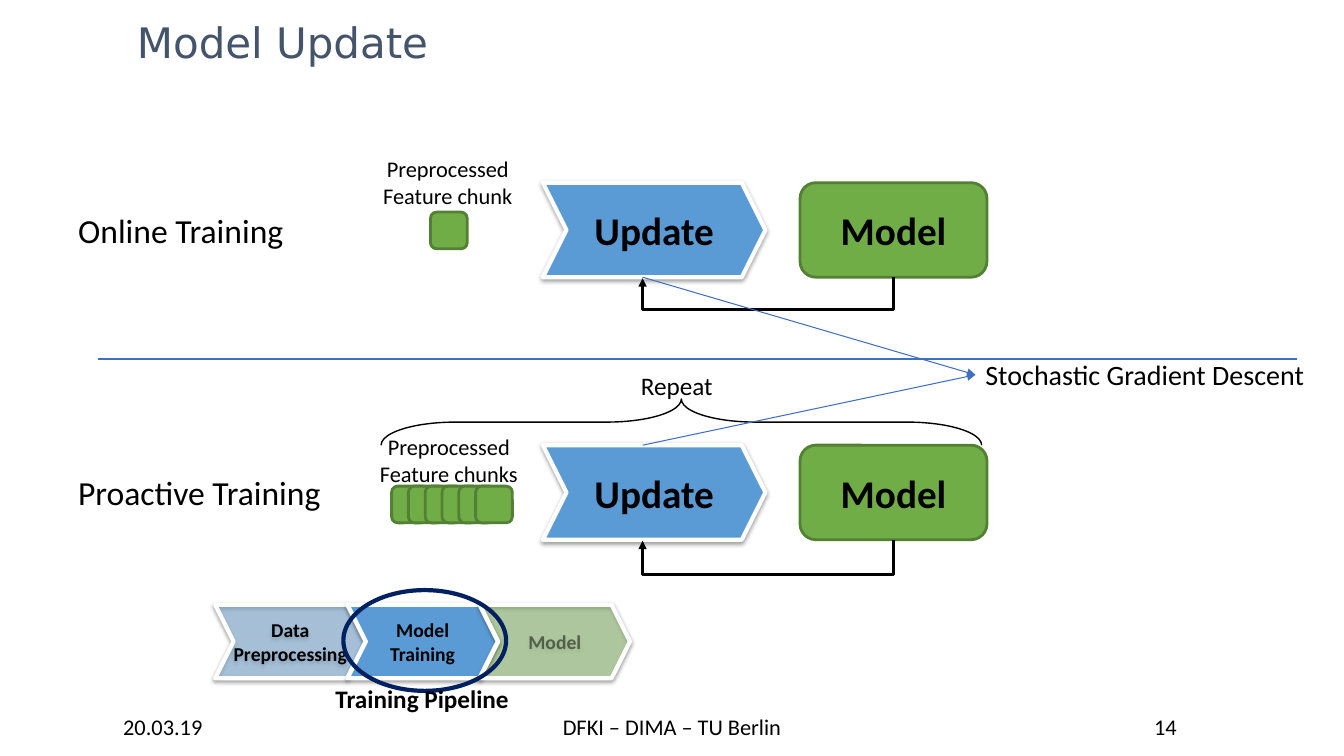
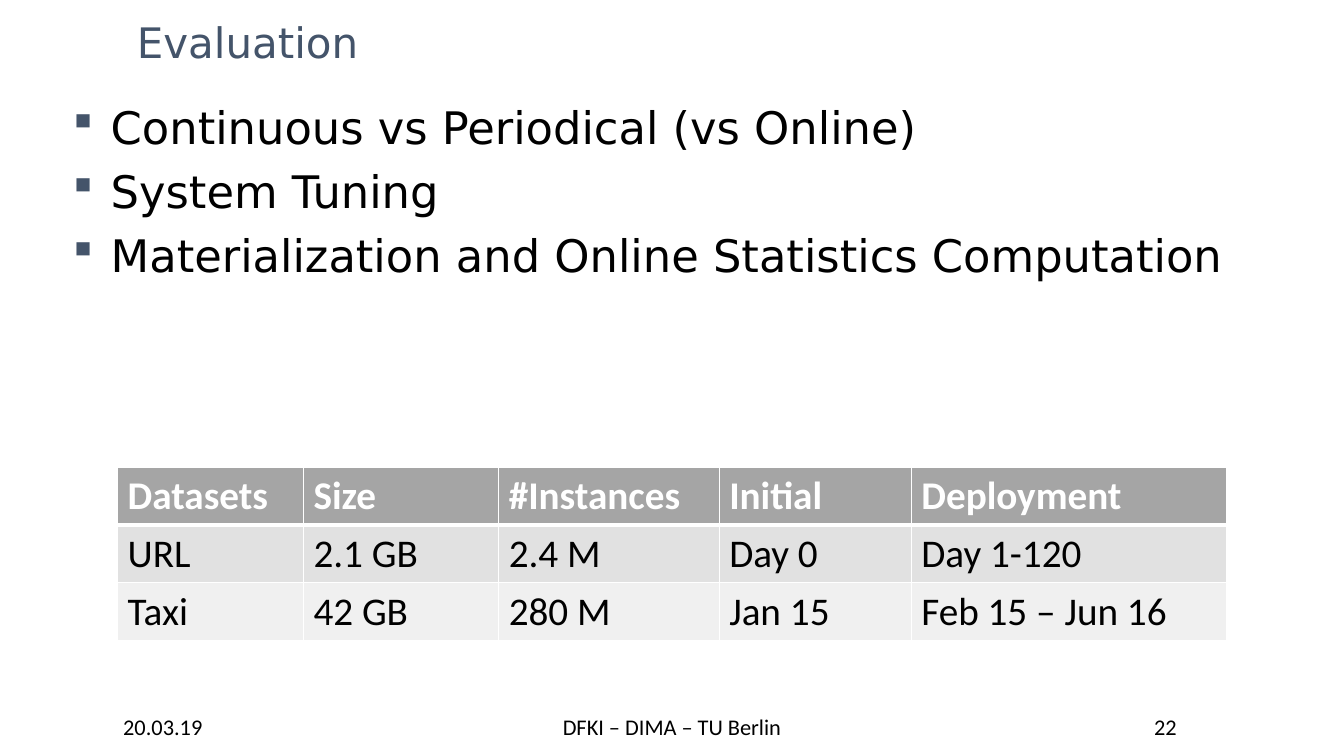
from dataclasses import dataclass

from lxml import etree
from pptx import Presentation
from pptx import util as u
from pptx.dml.color import RGBColor
from pptx.enum import shapes, text
from pptx.oxml.ns import qn

PX = 9525  # EMU in one px, 96 px to the inch
SHAPE, ALIGN, ANCHOR = shapes.MSO_SHAPE, text.PP_ALIGN, text.MSO_ANCHOR


@dataclass(frozen=True)
class Theme:
    # colours
    ink: str = "000000"
    white: str = "FFFFFF"
    slate: str = "44546A"
    blue: str = "5B9BD5"
    green: str = "70AD47"
    green_edge: str = "538035"
    rule: str = "3F6FC3"
    navy: str = "002060"
    header: str = "A5A5A5"
    bands: tuple = ("E1E1E1", "F0F0F0")
    # fonts and type sizes
    body_font: str = "Calibri"
    title_font: str = "DejaVu Sans"
    title: int = 30
    bullet: int = 32
    block: int = 28
    label: int = 24
    note: int = 20
    caption: int = 18
    small: int = 16
    step: int = 14


T = Theme()
DATE, OWNER = "20.03.19", "DFKI – DIMA – TU Berlin"


def px(*lengths):
    return [u.Emu(int(length * PX)) for length in lengths]


def rgb(value):
    return RGBColor.from_string(value)


def assign(target, values):
    for name, value in values.items():
        setattr(target, name, value)


def add_xml(parent, tag, **attributes):
    values = {name: str(value) for name, value in attributes.items()}
    return etree.SubElement(parent, qn(tag), values)


def fade(element, percent):
    """Make the first colour found in the element partly transparent."""
    colour = next(element.iter(qn("a:srgbClr")))
    add_xml(colour, "a:alpha", val=percent * 1000)


class Deck:
    def __init__(self):
        self.prs = Presentation()
        assign(self.prs, dict(zip(("slide_width", "slide_height"), px(1280, 720))))
        self.slide = None

    def new_slide(self, title, number):
        self.slide = self.prs.slides.add_slide(self.prs.slide_layouts[6])
        for words, left, width in ((DATE, 60, 190), (OWNER, 480, 320), (number, 1000, 220)):
            self.label([words], (left, 674, width, 36), T.small, wrap=True,
                       align=ALIGN.CENTER, anchor=ANCHOR.MIDDLE)
        self.label([title], (121, 6, 908, 67), T.title, wrap=True, anchor=ANCHOR.MIDDLE,
                   colour=T.slate, font=T.title_font, grow=False)

    def fill_text(self, frame, lines, size, colour=T.ink, font=T.body_font, bold=False,
                  align=ALIGN.LEFT, alpha=None):
        for index, line in enumerate(lines):
            paragraph = frame.add_paragraph() if index else frame.paragraphs[0]
            paragraph.alignment = align
            run = paragraph.add_run()
            run.text = line
            assign(run.font, dict(size=u.Pt(size), name=font, bold=bold))
            run.font.color.rgb = rgb(colour)
            if alpha:
                fade(run.font._element, alpha)

    def label(self, lines, box, size, wrap=False, grow=True, anchor=ANCHOR.TOP, **style):
        shape = self.slide.shapes.add_textbox(*px(*box))
        fit = text.MSO_AUTO_SIZE.SHAPE_TO_FIT_TEXT if grow else text.MSO_AUTO_SIZE.NONE
        assign(shape.text_frame, dict(word_wrap=wrap, auto_size=fit, vertical_anchor=anchor))
        self.fill_text(shape.text_frame, lines, size, **style)
        return shape

    def shape(self, kind, box, fill=None, edge=T.ink, weight=1, alpha=None, adjust=()):
        shape = self.slide.shapes.add_shape(kind, *px(*box))
        shape.shadow.inherit = False
        if fill:
            shape.fill.solid()
            shape.fill.fore_color.rgb = rgb(fill)
            if alpha:
                fade(shape._element.spPr, alpha)
        else:
            shape.fill.background()
        shape.line.color.rgb = rgb(edge)
        shape.line.width = u.Pt(weight)
        for index, value in enumerate(adjust):
            shape.adjustments[index] = value
        return shape

    def block(self, kind, box, lines, size, fill, wrap=True, text_alpha=None, **style):
        shape = self.shape(kind, box, fill, **style)
        assign(shape.text_frame, dict(word_wrap=wrap, vertical_anchor=ANCHOR.MIDDLE))
        self.fill_text(shape.text_frame, lines, size, bold=True, align=ALIGN.CENTER,
                       alpha=text_alpha)
        return shape

    def chevron(self, box, lines, size, fill=T.blue, **style):
        shape = self.block(SHAPE.CHEVRON, box, lines, size, fill, edge=T.white, weight=3,
                           adjust=(0.25,), **style)
        effects = shape._element.spPr.find(qn("a:effectLst"))
        shadow = add_xml(effects, "a:outerShdw", blurRad=40000, dist=20000,
                         dir=5400000, rotWithShape=0)
        add_xml(add_xml(shadow, "a:srgbClr", val=T.ink), "a:alpha", val=38000)
        return shape

    def green_box(self, box, lines=()):
        return self.block(SHAPE.ROUNDED_RECTANGLE, box, lines, T.block, T.green,
                          edge=T.green_edge, weight=2)

    def line(self, start, end, colour, weight, kind=shapes.MSO_CONNECTOR.STRAIGHT, arrow=False):
        line = self.slide.shapes.add_connector(kind, *px(*start, *end))
        line.line.color.rgb = rgb(colour)
        line.line.width = u.Pt(weight)
        properties = line._element.spPr
        if arrow:
            add_xml(properties.find(qn("a:ln")), "a:tailEnd", type="triangle")
        add_xml(properties, "a:effectLst")
        return line

    def feedback(self, source, target, start, end, drop):
        """Elbow arrow that leaves one bottom edge and returns to another."""
        line = self.line(start, end, T.ink, 2, shapes.MSO_CONNECTOR.ELBOW, arrow=True)
        line.begin_connect(source, 2)
        line.end_connect(target, 2)
        # A quarter turn of a 1 px wide box lets the bend drop below both ends
        span = start[0] - end[0]
        box = px((start[0] + end[0] - 1) / 2, start[1] + (1 - span) / 2, 1, span)
        frame = line._element.spPr.find(qn("a:xfrm"))
        frame.attrib.clear()
        frame.set("rot", "5400000")
        assign(line, dict(zip(("left", "top", "width", "height"), box)))
        geometry = line._element.spPr.find(qn("a:prstGeom"))
        guides = geometry.find(qn("a:avLst"))
        if guides is None:
            guides = add_xml(geometry, "a:avLst")
        add_xml(guides, "a:gd", name="adj1", fmla=f"val {drop * 100000}")

    def pointer(self, source, site, target, start, end):
        line = self.line(start, end, T.rule, 0.75, arrow=True)
        line.begin_connect(source, site)
        line.end_connect(target, 1)
        line.begin_x = px(start[0])[0]

    def bullets(self, lines, box):
        frame = self.label([], box, T.bullet, wrap=True, grow=False).text_frame
        self.fill_text(frame, lines, T.bullet, font=T.title_font)
        for index, paragraph in enumerate(frame.paragraphs):
            if index:
                paragraph.space_before = u.Pt(7.5)
            properties = paragraph._p.get_or_add_pPr()
            for name, indent in (("marL", 36), ("indent", -36)):
                properties.set(name, str(indent * PX))
            add_xml(add_xml(properties, "a:buClr"), "a:srgbClr", val=T.slate)
            add_xml(properties, "a:buFont", typeface="Wingdings")
            add_xml(properties, "a:buChar", char="§")

    def table(self, rows, left, top, widths, height):
        table = self.slide.shapes.add_table(
            len(rows), len(widths), *px(left, top, sum(widths), height * len(rows))).table
        assign(table, dict(first_row=False, horz_banding=False))
        for column, width in zip(table.columns, widths):
            column.width = px(width)[0]
        for r, row in enumerate(rows):
            for c, words in enumerate(row):
                cell = table.cell(r, c)
                cell.fill.solid()
                cell.fill.fore_color.rgb = rgb(T.bands[r - 1] if r else T.header)
                self.fill_text(cell.text_frame, [words], T.block, bold=not r,
                               colour=T.ink if r else T.white)
                self.borders(cell, top=3 if r == 1 else 1, bottom=1 if r else 3)

    def borders(self, cell, top, bottom):
        properties = cell._tc.get_or_add_tcPr()
        sides = (("a:lnL", 1), ("a:lnR", 1), ("a:lnT", top), ("a:lnB", bottom))
        for index, (tag, weight) in enumerate(sides):
            edge = add_xml(properties, tag, w=u.Pt(weight))
            add_xml(add_xml(edge, "a:solidFill"), "a:srgbClr", val=T.white)
            properties.insert(index, edge)


def training_row(deck, top, name, name_width, chunk_caption, caption_box, chunk_lefts,
                 chunk_top, drop):
    """One training mode: feature chunks, update step, model and feedback."""
    update = deck.chevron((517, top, 212, 90), ["Update"], T.block, wrap=False)
    model = deck.green_box((762, top, 178, 90), ["Model"])
    deck.label([name], (65, top + 21, name_width, 48), T.label)
    deck.feedback(model, update, (851, top + 90), (612, top + 90), drop)
    for left in chunk_lefts:
        deck.green_box((left, chunk_top, 35, 35))
    deck.label(["Preprocessed", chunk_caption], caption_box, T.small, align=ALIGN.CENTER)
    return update


def model_update(deck):
    deck.new_slide("Model Update", "14")

    # Two training modes and the divider
    online = training_row(deck, 174, "Online Training", 217, "Feature chunk",
                          (353, 143, 147, 61), [410], 202, 31)
    deck.line((93, 342), (1235, 342), T.rule, 1.75)
    proactive = training_row(deck, 424, "Proactive Training", 252, "Feature chunks",
                             (350, 408, 155, 61), range(373, 469, 16), 463, 34)

    # Repeat brace
    brace = deck.shape(SHAPE.RIGHT_BRACE, (627, 116, 44, 572), adjust=(1.61, 0.5))
    brace.rotation = 270
    deck.label(["Repeat"], (601, 348, 90, 38), T.caption, wrap=True)

    # Training pipeline with the current step circled
    steps = (
        (["Data", "Preprocessing"], dict(alpha=40, wrap=False)),
        (["Model Training"], {}),
        (["Model"], dict(fill=T.green, alpha=40, text_alpha=50)),
    )
    for index, (words, style) in enumerate(steps):
        deck.chevron((205 + 126 * index, 576, 143, 70), words, T.step, **style)
    deck.shape(SHAPE.OVAL, (327, 562, 155, 96), edge=T.navy, weight=3)
    deck.label(["Training Pipeline"], (310, 646, 185, 38), T.caption, bold=True)

    # Shared optimiser
    descent = deck.label(["Stochastic Gradient Descent"], (929, 336, 326, 42), T.note)
    deck.pointer(online, 2, descent, (612, 264), (929, 357))
    deck.pointer(proactive, 0, descent, (612, 424), (929, 357))


def evaluation(deck):
    deck.new_slide("Evaluation", "22")
    deck.bullets(["Continuous vs Periodical (vs Online)", "System Tuning",
                  "Materialization and Online Statistics Computation"], (60, 90, 1160, 578))
    deck.table([
        ("Datasets", "Size", "#Instances", "Initial", "Deployment"),
        ("URL", "2.1 GB", "2.4 M", "Day 0", "Day 1-120"),
        ("Taxi", "42 GB", "280 M", "Jan 15", "Feb 15 – Jun 16"),
    ], 112, 445, (177, 186, 210, 183, 300), 55)


def main():
    deck = Deck()
    model_update(deck)
    evaluation(deck)
    deck.prs.save("out.pptx")


if __name__ == "__main__":
    main()
